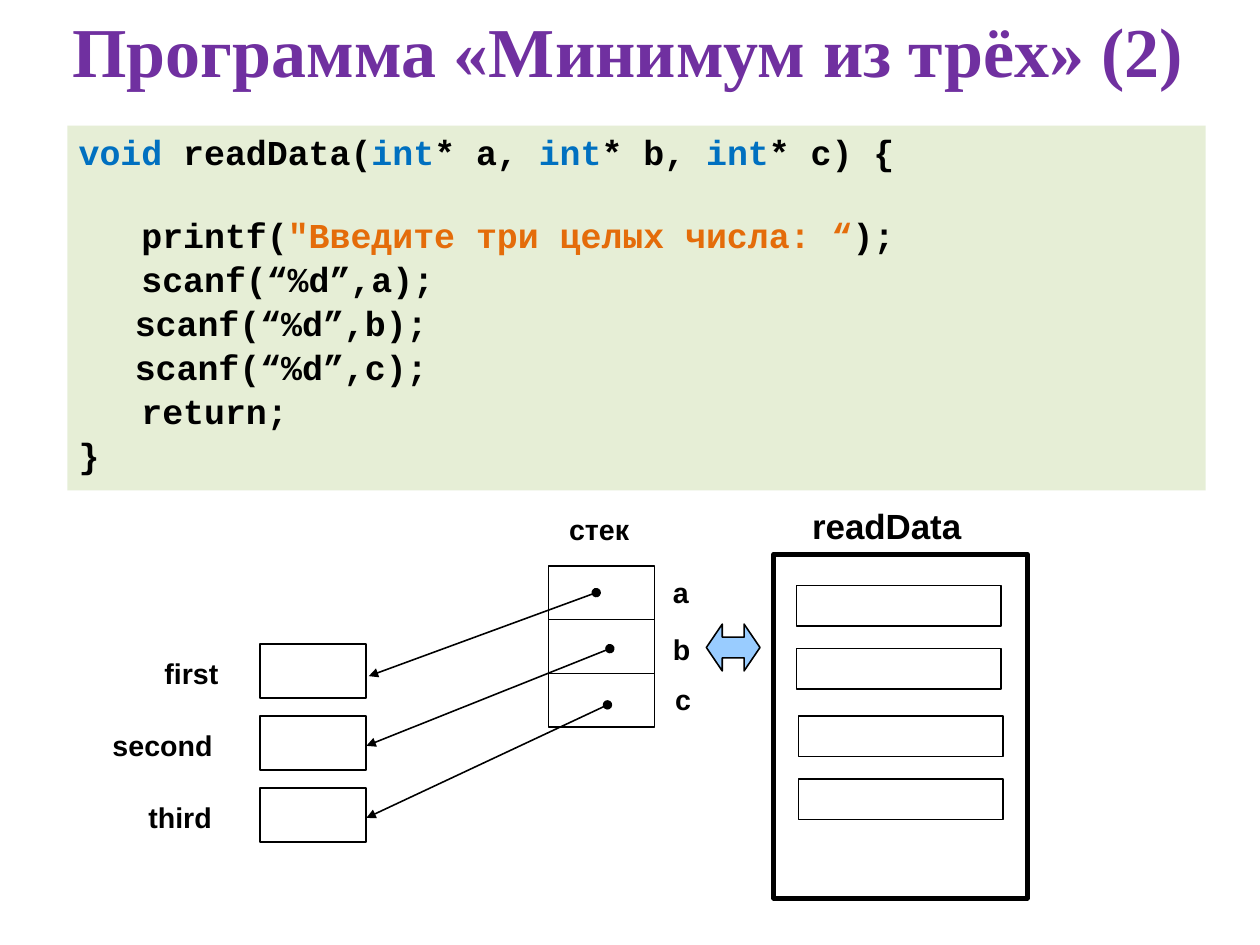
import pptx
import pptx.util
import pptx.dml.color
import pptx.enum.shapes
import pptx.enum.text
import pptx.oxml
import pptx.oxml.ns

Pt = pptx.util.Pt
MSO_SHAPE = pptx.enum.shapes.MSO_SHAPE
qn = pptx.oxml.ns.qn
NS = pptx.oxml.ns.nsdecls("a")

COLORS = {"title": "7030A0", "keyword": "0070C0", "plain": "000000",
          "string": "E46C0A", "code_back": "D7E4BD", "arrow": "99CCFF"}

# Content
TITLE = "Программа «Минимум из трёх» (2)"
# Each code line: space after, then (text, colour) pieces
CODE = [
    (27.9, [("void ", "keyword"), ("readData(", "plain"), ("int", "keyword"),
            ("* a, ", "plain"), ("int", "keyword"), ("* b, ", "plain"),
            ("int", "keyword"), ("* c) {", "plain")]),
    (2.9, [("   printf(", "plain"),
           ("\"Введите три целых числа: “", "string"), (");", "plain")]),
    (2.9, [("   scanf(“%d”,a);", "plain")]),
    (2.9, [(" \tscanf(“%d”,b);", "plain")]),
    (2.9, [(" \tscanf(“%d”,c);", "plain")]),
    (2.9, [("   return;", "plain")]),
    (2.9, [("}", "plain")]),
]
# Variable name, label left, label width
VARIABLES = [("first", 96.5, 60), ("second", 63.8, 88), ("third", 86.4, 67)]
# Parameter name, label left, label top
PARAMETERS = [("a", 416.9, 358.9), ("b", 416.9, 394.9), ("c", 418.3, 426.8)]
# Pointer start and end
POINTERS = [((375.6, 373.3), (232.3, 425.9)),
            ((384.2, 408.6), (230.8, 469.8)),
            ((382.7, 444), (230.8, 515.2))]
# Left and top of the cells inside readData
LOCALS = [(501.7, 369), (501.7, 408.6), (503, 451.1), (503, 490.8)]

CELL_W, CELL_H = 66.9, 33.9
VARIABLE_LEFT, VARIABLE_TOP, VARIABLE_STEP = 163.7, 405.8, 45.36
STACK_LEFT, STACK_TOP = 345.6, 356.4


def color(key):
    return pptx.dml.color.RGBColor.from_string(COLORS[key])


def set_margins(frame, left, top, right, bottom):
    frame.margin_left, frame.margin_top = Pt(left), Pt(top)
    frame.margin_right, frame.margin_bottom = Pt(right), Pt(bottom)
    frame.word_wrap = True


def add_block(kind, left, top, width, height, line=1, fill=None):
    block = slide.shapes.add_shape(kind, Pt(left), Pt(top), Pt(width), Pt(height))
    block.shadow.inherit = False
    if fill:
        block.fill.solid()
        block.fill.fore_color.rgb = color(fill)
    else:
        block.fill.background()
    if line:
        block.line.color.rgb = color("plain")
        block.line.width = Pt(line)
    else:
        block.line.fill.background()
    return block


def add_label(text, left, top, width, size=18):
    label = slide.shapes.add_textbox(Pt(left), Pt(top), Pt(width), Pt(30))
    set_margins(label.text_frame, 7.1, 5, 7.1, 3.5)
    line = label.text_frame.paragraphs[0]
    line.text = text
    line.line_spacing = 0.93
    line.font.name, line.font.size, line.font.bold = "Arial", Pt(size), True
    line.font.color.rgb = color("plain")


def add_pointer(start, end):
    pointer = slide.shapes.add_connector(
        pptx.enum.shapes.MSO_CONNECTOR.STRAIGHT, *map(Pt, start + end))
    pointer.line.color.rgb = color("plain")
    pointer.line.width = Pt(1)
    ln = pointer.line._get_or_add_ln()
    for end_tag, end_type in (("headEnd", "oval"), ("tailEnd", "triangle")):
        ln.append(pptx.oxml.parse_xml(f'<a:{end_tag} {NS} type="{end_type}"/>'))
    pointer._element.spPr.append(pptx.oxml.parse_xml(f"<a:effectLst {NS}/>"))


deck = pptx.Presentation()
deck.slide_width, deck.slide_height = Pt(793.75), Pt(595.25)
slide = deck.slides.add_slide(deck.slide_layouts[5])

# Code panel
panel = add_block(MSO_SHAPE.RECTANGLE, 42.5, 79.2, 717.1, 229.7,
                  line=0, fill="code_back")
panel_color = panel._element.spPr.find(qn("a:solidFill"))[0]
panel_color.append(pptx.oxml.parse_xml(f'<a:alpha {NS} val="61000"/>'))
code = panel.text_frame
set_margins(code, 7.1, 5, 7.1, 3.5)
code.vertical_anchor = pptx.enum.text.MSO_ANCHOR.TOP
for number, (space_after, pieces) in enumerate(CODE):
    line = code.add_paragraph() if number else code.paragraphs[0]
    line._p.get_or_add_pPr().append(pptx.oxml.parse_xml(
        f'<a:tabLst {NS}><a:tab pos="{Pt(35.4)}" algn="l"/></a:tabLst>'))
    line.alignment = pptx.enum.text.PP_ALIGN.LEFT
    line.line_spacing = 0.94
    line.space_after = Pt(space_after)
    line.font.name, line.font.size, line.font.bold = "Courier New", Pt(22), True
    for text, key in pieces:
        piece = line.add_run()
        piece.text = text
        piece.font.color.rgb = color(key)

# Title
title = slide.shapes.title
title.left, title.top, title.width, title.height = map(Pt, (26.6, 8.6, 738.7, 46.8))
heading = title.text_frame
heading.text = TITLE
heading.auto_size = pptx.enum.text.MSO_AUTO_SIZE.NONE
heading.vertical_anchor = pptx.enum.text.MSO_ANCHOR.MIDDLE
set_margins(heading, 7.9, 2.9, 7.9, 4.3)
line = heading.paragraphs[0]
line.alignment = pptx.enum.text.PP_ALIGN.CENTER
line.font.name, line.font.size, line.font.bold = "Times New Roman", Pt(44.1), True
line.font.color.rgb = color("title")

# Variables of the caller
for row, (name, label_left, label_width) in enumerate(VARIABLES):
    top = VARIABLE_TOP + row * VARIABLE_STEP
    add_block(MSO_SHAPE.RECTANGLE, VARIABLE_LEFT, top, CELL_W, CELL_H)
    add_label(name, label_left, top + 4.2, label_width)

# Stack with its pointers
add_label("стек", 351.4, 319.3, 92)
for row, (name, label_left, label_top) in enumerate(PARAMETERS):
    add_block(MSO_SHAPE.RECTANGLE, STACK_LEFT, STACK_TOP + row * CELL_H,
              CELL_W, CELL_H)
    add_label(name, label_left, label_top, 28)
for start, end in POINTERS:
    add_pointer(start, end)

# Function readData
add_label("readData", 504.5, 315, 118, size=22)
add_block(MSO_SHAPE.RECTANGLE, 487.4, 349.1, 159.8, 216.7, line=3)
for left, top in LOCALS:
    add_block(MSO_SHAPE.RECTANGLE, left, top, 128.9, 25.4, line=0.79)
exchange = add_block(MSO_SHAPE.LEFT_RIGHT_ARROW, 445, 393.1, 33.8, 29.5, fill="arrow")
exchange.adjustments[0], exchange.adjustments[1] = 0.44, 0.34

deck.save("out.pptx")
